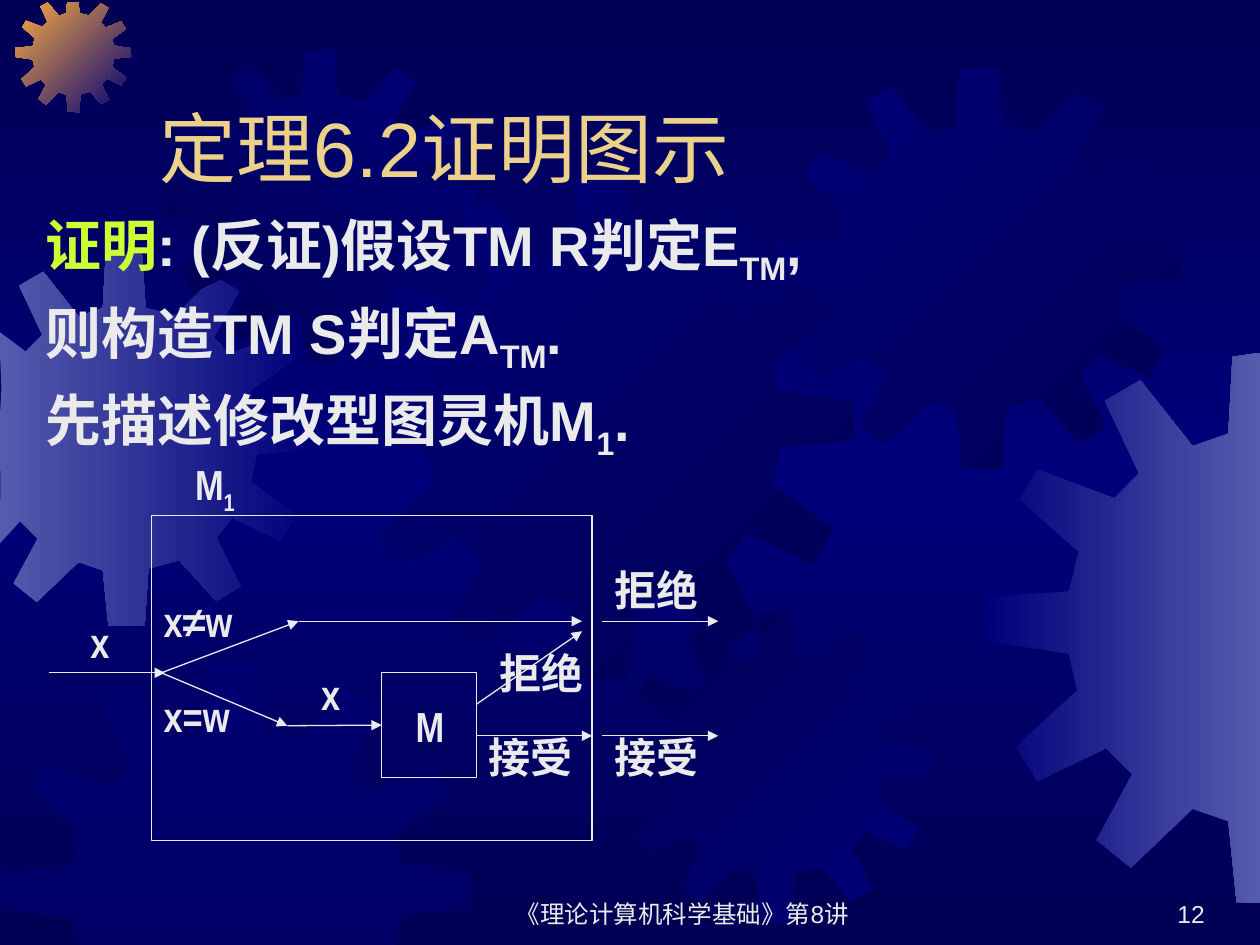
"""Build the slide that illustrates the proof of theorem 6.2."""
from copy import deepcopy

from pptx import Presentation
from pptx import util as u
from pptx.dml.color import RGBColor
from pptx.enum import shapes, text
from pptx.oxml.ns import qn
from lxml import etree

NAVY, BLUE, LILAC, ORANGE = "000054", "00007A", "555BAD", "FCAB40"
PALE, GOLD, LIME = "EAEAEA", "EBD189", "CCFF33"
color = RGBColor.from_string
Inches = u.Inches

presentation = Presentation()
presentation.slide_width, presentation.slide_height = Inches(10), Inches(7.5)
slide = presentation.slides.add_slide(presentation.slide_layouts[6])


def fill_gradient(fill, first, last, angle):
    """Apply a two-colour gradient with a counter-clockwise angle."""
    fill.gradient()
    fill.gradient_angle = angle
    for stop, name, position in zip(fill.gradient_stops, (first, last), (0, 1)):
        stop.color.rgb = color(name)
        stop.position = position


def write(content, left, top, width, height, size=24, font="Arial Narrow", bold=True,
          fill=PALE, lead="", align=text.PP_ALIGN.LEFT, anchor=text.MSO_ANCHOR.TOP, before=0):
    """Add a text box; words between bars are subscripts and lead is lime."""
    frame = slide.shapes.add_textbox(Inches(left), Inches(top), Inches(width), Inches(height)).text_frame
    frame.word_wrap = True
    frame.vertical_anchor = anchor
    for number, row in enumerate(content.split("\n")):
        paragraph = frame.add_paragraph() if number else frame.paragraphs[0]
        paragraph.alignment = align
        paragraph.space_before = u.Pt(before)
        pieces = [(part, fill, index % 2) for index, part in enumerate(row.split("|"))]
        if lead and not number:
            pieces.insert(0, (lead, LIME, 0))
        for part, tint, lowered in pieces:
            if not part:
                continue
            run = paragraph.add_run()
            run.text = part
            run.font.size, run.font.name, run.font.bold = u.Pt(size), font, bold
            run.font.color.rgb = color(tint)
            if lowered:
                run.font._element.set("baseline", "-25000")


background = slide.background.fill
fill_gradient(background, NAVY, NAVY, 270)
stop_list = slide.element.find(".//" + qn("a:gsLst"))
middle = deepcopy(stop_list[0])
stop_list.insert(1, middle)
background.gradient_stops[1].color.rgb = color(BLUE)
background.gradient_stops[1].position = 0.5

GEAR_SIZE = 401
GEAR = [
    (255, 67), (223, 59), (219, 0), (180, 3), (177, 59), (151, 68), (113, 20), (87, 35),
    (112, 88), (94, 106), (38, 85), (25, 107), (68, 145), (61, 174), (1, 178), (0, 210),
    (61, 219), (67, 246), (22, 287), (38, 312), (88, 288), (107, 307), (81, 355), (106, 375),
    (151, 332), (177, 341), (183, 400), (222, 401), (226, 339), (259, 330), (299, 374), (325, 358),
    (299, 306), (316, 284), (368, 309), (384, 281), (336, 246), (342, 216), (401, 210), (400, 180),
    (341, 171), (335, 148), (383, 114), (367, 87), (313, 109), (296, 91), (323, 41), (297, 25),
]
gears = [
    (-0.49, 2.01, 2.96, LILAC, BLUE, 0),
    (0.12, -0.03, 0.92, ORANGE, BLUE, 315),
    (1.3, 0.39, 2.48, NAVY, BLUE, 45),
    (2.77, 1.39, 4.01, BLUE, NAVY, 315),
    (0, 5.25, 3.74, BLUE, None, 0),
    (4.91, 4.84, 2.48, NAVY, BLUE, 315),
    (6.18, 0.53, 3.2, BLUE, NAVY, 315),
    (7.82, 2.8, 4.37, BLUE, LILAC, 0),
]
for left, top, size, first, last, angle in gears:
    scale = size / GEAR_SIZE
    points = [(Inches(min(max(left + x * scale, 0), 10)), Inches(min(max(top + y * scale, 0.02), 7.5)))
              for x, y in GEAR]
    builder = slide.shapes.build_freeform(*points[0])
    builder.add_line_segments(points[1:], close=True)
    gear = builder.convert_to_shape()
    gear.shadow.inherit = False
    gear.line.fill.background()
    if last:
        fill_gradient(gear.fill, first, last, angle)
    else:
        gear.fill.solid()
        gear.fill.fore_color.rgb = color(first)
        tint = gear._element.spPr.find(".//" + qn("a:srgbClr"))
        etree.SubElement(tint, qn("a:alpha")).set("val", "50000")

bottom = text.MSO_ANCHOR.BOTTOM
write("《理论计算机科学基础》第8讲", 3.83, 6.92, 3.17, 0.5, size=14, font="Arial", bold=False,
      align=text.PP_ALIGN.CENTER, anchor=bottom)
write("12", 7.58, 6.92, 2.08, 0.5, size=14, font="Arial", bold=False,
      align=text.PP_ALIGN.RIGHT, anchor=bottom)
write("定理6.2证明图示", 1.17, 0.33, 8.5, 1.25, size=44, font="Arial", bold=False,
      fill=GOLD, anchor=bottom)
write(": (反证)假设TM R判定E|TM|,\n则构造TM S判定A|TM|.\n先描述修改型图灵机M|1|.",
      0.26, 1.62, 8.36, 2.11, size=32, font="Arial", lead="证明", before=6.4)

boxes = []
for left, top, width, height in [(1.2, 4.09, 3.5, 2.58), (3.03, 5.34, 0.75, 0.83)]:
    box = slide.shapes.add_shape(shapes.MSO_SHAPE.RECTANGLE, Inches(left), Inches(top),
                                 Inches(width), Inches(height))
    box.shadow.inherit = False
    box.fill.background()
    box.line.color.rgb = color(PALE)
    box.line.width = u.Pt(0.75)
    boxes.append(box)
outer_machine, inner_machine = boxes

arrows = [
    (0.39, 5.34, 1.31, 5.34, None),
    (1.28, 5.34, 2.37, 4.93, None),
    (2.37, 4.93, 4.62, 4.93, None),
    (4.78, 4.93, 5.7, 4.93, None),
    (1.28, 5.34, 2.28, 5.76, None),
    (2.28, 5.76, 3.03, 5.76, inner_machine),
    (3.78, 5.59, 4.62, 5.01, None),
    (3.78, 5.84, 4.7, 5.84, None),
    (4.78, 5.84, 5.7, 5.84, None),
]
for x1, y1, x2, y2, target in arrows:
    arrow = slide.shapes.add_connector(shapes.MSO_CONNECTOR.STRAIGHT, Inches(x1), Inches(y1),
                                       Inches(x2), Inches(y2))
    if target:
        arrow.end_connect(target, 1)
    arrow.line.color.rgb = color(PALE)
    arrow.line.width = u.Pt(0.75)
    etree.SubElement(arrow.line._get_or_add_ln(), qn("a:tailEnd")).set("type", "triangle")
    etree.SubElement(arrow._element.spPr, qn("a:effectLst"))

labels = [
    ("拒绝", 3.87, 5.09, 1), ("x", 0.62, 4.84, 0.5), ("M|1|", 1.45, 3.59, 0.67),
    ("x=w", 1.2, 5.43, 0.83), ("拒绝", 4.78, 4.43, 1.08), ("x", 2.45, 5.26, 0.5),
    ("M", 3.2, 5.51, 0.5), ("接受", 3.78, 5.76, 1), ("接受", 4.78, 5.76, 1),
    ("x≠w", 1.2, 4.68, 0.83),
]
for label, left, top, width in labels:
    write(label, left, top, width, 0.5)

presentation.save("out.pptx")
